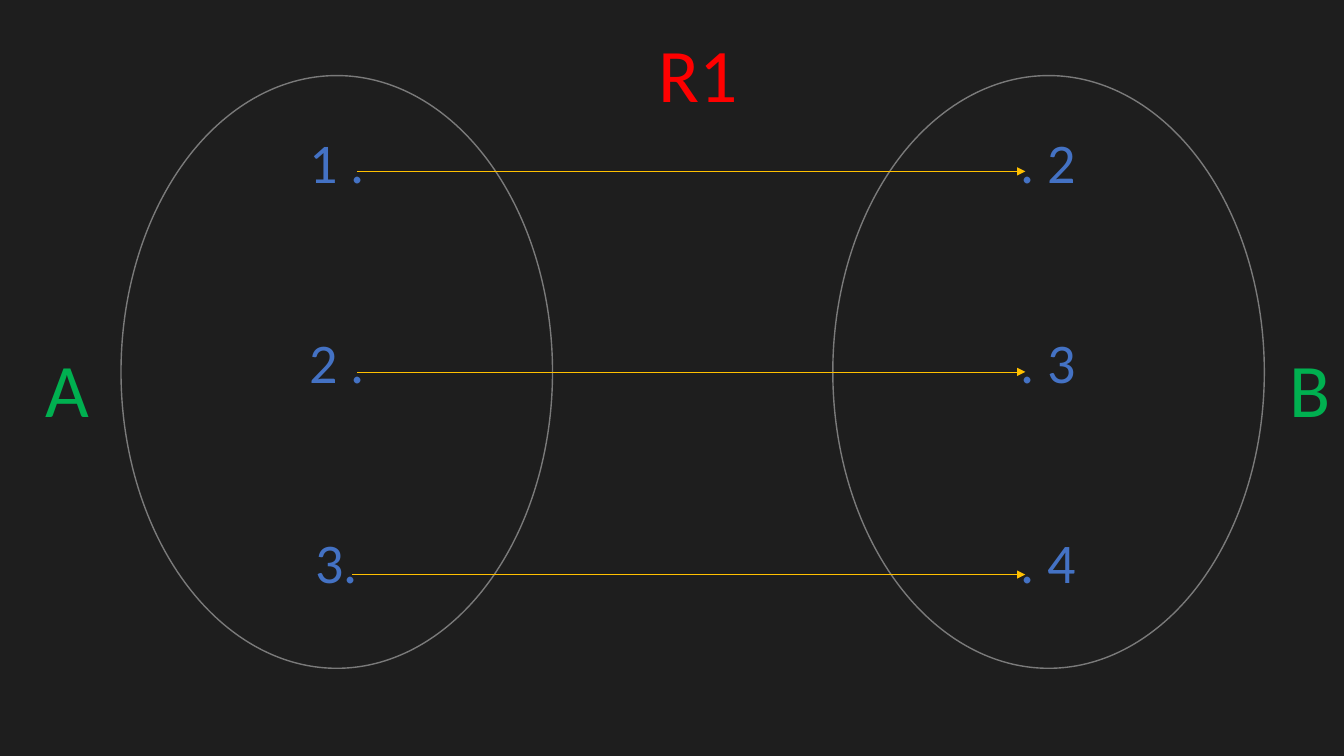
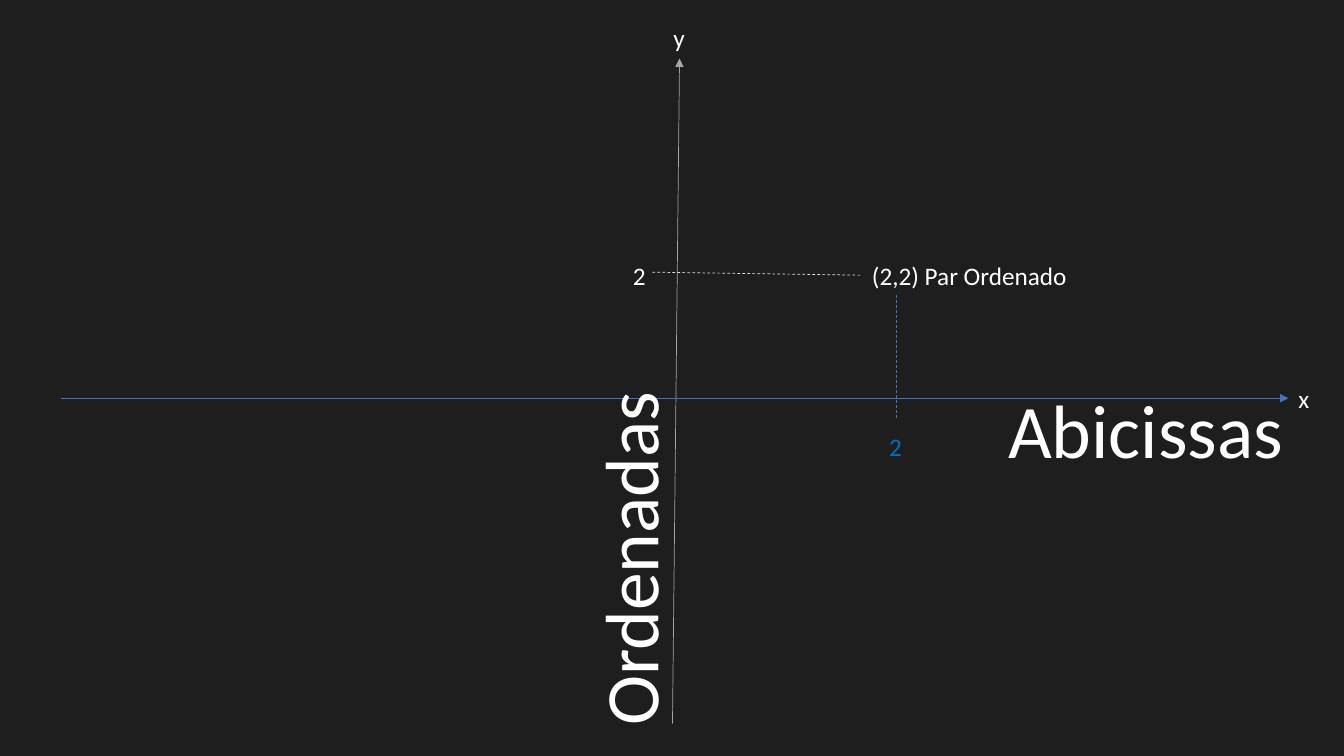
from pptx import Presentation
from pptx.dml.color import RGBColor
from pptx.enum.dml import MSO_LINE
from pptx.enum.shapes import MSO_CONNECTOR, MSO_SHAPE
from pptx.enum.text import MSO_ANCHOR, MSO_AUTO_SIZE, PP_ALIGN
from pptx.oxml.ns import qn
from pptx.util import Inches, Pt
from lxml import etree

STRAIGHT = MSO_CONNECTOR.STRAIGHT
OVAL = MSO_SHAPE.OVAL
DASH = MSO_LINE.DASH
MIDDLE = MSO_ANCHOR.MIDDLE
CENTER = PP_ALIGN.CENTER
GROW = MSO_AUTO_SIZE.SHAPE_TO_FIT_TEXT

FONT = "Calibri"
LARGE, MEDIUM, SMALL = 54, 40, 18
LARGE_HEIGHT, SMALL_HEIGHT = 1.01, 0.4
BACKGROUND = "1E1E1E"
WHITE = "FFFFFF"
BLUE = "4472C4"
DEEP_BLUE = "0070C0"
GREEN = "00B050"
RED = "FF0000"
GOLD = "FFC000"
GRAY = "A5A5A5"
LIGHT_GRAY = "E7E6E6"
OUTLINE = "7A7A7A"


def color(value):
    return RGBColor.from_string(value)


class DiagramDeck:
    def __init__(self):
        self.deck = Presentation()
        self.deck.slide_width = Inches(13.33)
        self.deck.slide_height = Inches(7.5)
        fill = self.deck.slide_master.background.fill
        fill.solid()
        fill.fore_color.rgb = color(BACKGROUND)
        self.page = None

    def new_page(self):
        self.page = self.deck.slides.add_slide(self.deck.slide_layouts[6])

    def add_span(self, para, text, size, text_color):
        span = para.add_run()
        span.text = text
        span.font.name = FONT
        span.font.size = Pt(size)
        span.font.color.rgb = color(text_color)

    def label(self, text, left, top, width, text_color=WHITE, size=SMALL, rotation=0):
        height = LARGE_HEIGHT if size == LARGE else SMALL_HEIGHT
        box = self.page.shapes.add_textbox(
            Inches(left), Inches(top), Inches(width), Inches(height))
        box.rotation = rotation
        box.text_frame.word_wrap = False
        box.text_frame.auto_size = GROW
        self.add_span(box.text_frame.paragraphs[0], text, size, text_color)

    def set_oval(self, left, members):
        oval = self.page.shapes.add_shape(
            OVAL, Inches(left), Inches(0.75), Inches(4.28), Inches(5.88))
        oval.shadow.inherit = False
        oval.fill.background()
        oval.line.color.rgb = color(OUTLINE)
        oval.line.width = Pt(1)
        frame = oval.text_frame
        frame.word_wrap = True
        frame.vertical_anchor = MIDDLE
        frame.margin_bottom = Inches(0.27)
        for index, member in enumerate(members):
            para = frame.add_paragraph() if index else frame.paragraphs[0]
            para.alignment = CENTER
            para.space_before = Pt(95 if index else 0)
            self.add_span(para, member, MEDIUM, BLUE)

    def line(self, start, end, line_color):
        connector = self.page.shapes.add_connector(
            STRAIGHT, *(Inches(value) for value in (*start, *end)))
        connector.line.color.rgb = color(line_color)
        connector.line.width = Pt(0.5)
        etree.SubElement(connector._element.spPr, qn("a:effectLst"))
        return connector

    def arrow(self, start, end, line_color):
        connector = self.line(start, end, line_color)
        outline = connector._element.spPr.get_or_add_ln()
        etree.SubElement(outline, qn("a:tailEnd"), type="triangle")

    def guide(self, start, end, line_color):
        self.line(start, end, line_color).line.dash_style = DASH


def relation_page(diagram):
    diagram.new_page()
    diagram.set_oval(1.2, ["1 .", "2 .", "3."])
    diagram.label("A", 0.35, 3.34, 0.64, GREEN, LARGE)
    diagram.set_oval(8.26, [". 2", ". 3", ". 4"])
    diagram.label("B", 12.69, 3.34, 0.61, GREEN, LARGE)
    for left, top in ((3.54, 1.7), (3.54, 3.69), (3.49, 5.7)):
        diagram.arrow((left, top), (10.17, top), GOLD)
    diagram.label("R1", 6.43, 0.22, 1, RED, LARGE)


def axes_page(diagram):
    diagram.new_page()
    diagram.arrow((6.67, 7.18), (6.74, 0.58), GRAY)
    diagram.arrow((0.61, 3.95), (12.78, 3.95), BLUE)
    diagram.label("y", 6.58, 0.17, 0.32)
    diagram.label("x", 12.78, 3.75, 0.32)
    diagram.label("Ordenadas", 4.46, 5.02, 3.55, size=LARGE, rotation=270)
    diagram.label("Abicissas", 9.9, 3.75, 2.96, size=LARGE)
    diagram.guide((8.89, 2.93), (8.89, 4.16), BLUE)
    diagram.guide((6.47, 2.7), (8.55, 2.73), LIGHT_GRAY)
    diagram.label("2", 6.18, 2.53, 0.33)
    diagram.label("2", 8.72, 4.23, 0.33, DEEP_BLUE)
    diagram.label("(2,2) Par Ordenado", 8.55, 2.53, 2.15)


def main():
    diagram = DiagramDeck()
    relation_page(diagram)
    axes_page(diagram)
    diagram.deck.save("out.pptx")


if __name__ == "__main__":
    main()
